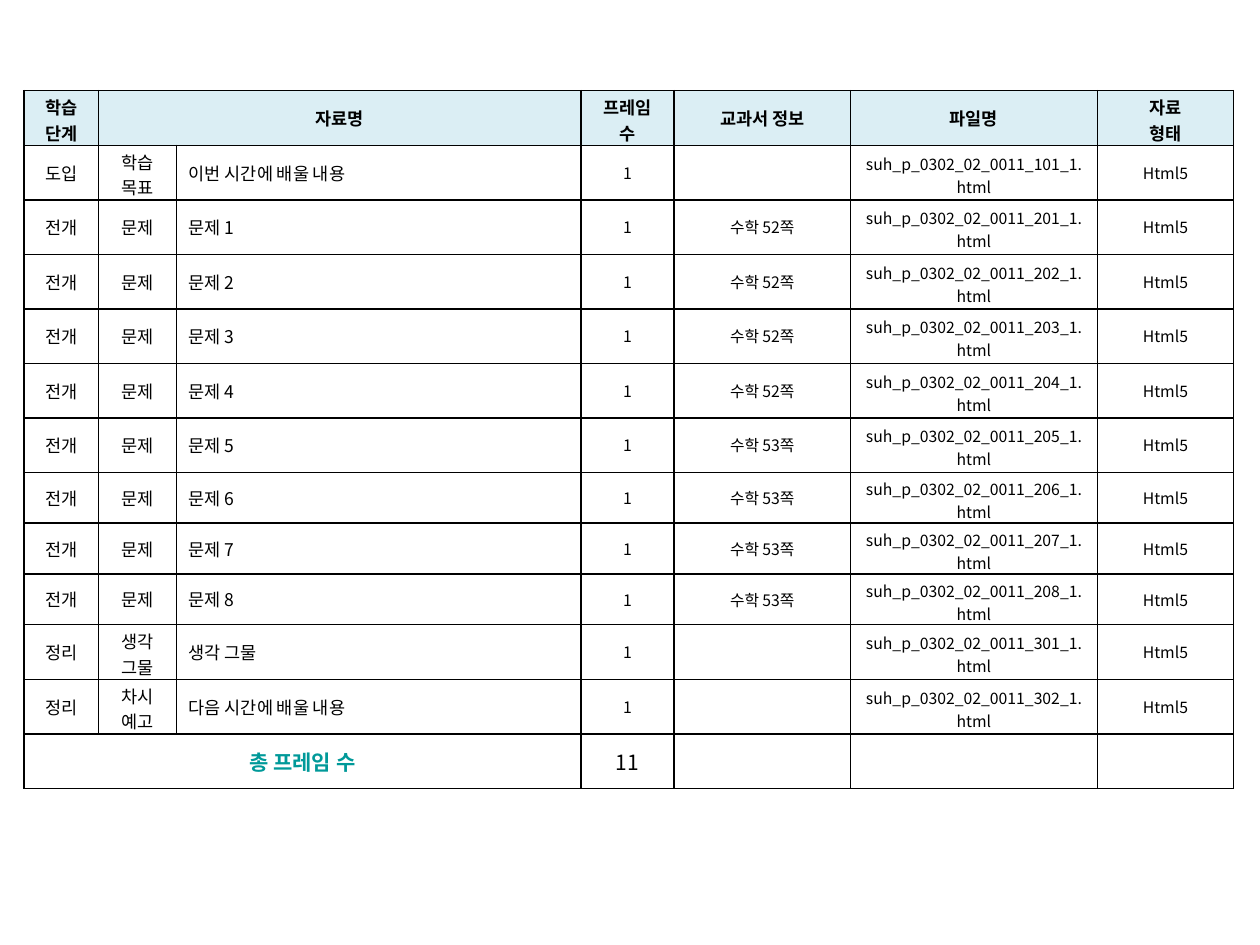
import dataclasses
import pptx
import pptx.dml.color
import pptx.enum.text
import pptx.oxml
import pptx.oxml.ns
import pptx.util
from lxml import etree

Inches = pptx.util.Inches
ALIGN = pptx.enum.text.PP_ALIGN
FONT = "Noto Sans CJK KR"
HEADER_FILL = "DBEEF4"
COLS = [0.59, 0.62, 3.21, 0.74, 1.4, 1.96, 1.08]
TABLE_HEIGHT = 5.53
LOW_ROWS = (7, 8, 9)
LOW_HEIGHT = 0.4
ROW_COUNT = 13
HEADERS = ["학습 단계", "자료명", "", "프레임 수", "교과서 정보", "파일명", "자료\n형태"]
SIZES = [10, 10, 10, 9, 9, 9, 9]
TWO_LINE_TOP = {9: 0.04, 10: 0.03}


@dataclasses.dataclass
class Material:
    stage: str
    kind: str
    name: str
    pages: str
    code: int

    def texts(self) -> list[str]:
        file = f"suh_p_0302_02_0011_{self.code}_1.html"
        return [self.stage, self.kind, self.name, "1", self.pages, file, "Html5"]


MATERIALS = [
    Material("도입", "학습\n목표", "이번 시간에 배울 내용", "", 101),
    *[Material("전개", "문제", f"문제 {n}", f"수학 {52 if n < 5 else 53}쪽", 200 + n)
      for n in range(1, 9)],
    Material("정리", "생각\n그물", "생각 그물", "", 301),
    Material("정리", "차시 예고", "다음 시간에 배울 내용", "", 302),
]
TWO_LINE_TEXTS = {"학습 단계", "프레임 수", "차시 예고"}


def rgb(color: str) -> pptx.dml.color.RGBColor:
    return pptx.dml.color.RGBColor.from_string(color)


def takes_two_lines(text: str) -> bool:
    return "\n" in text or text.endswith(".html") or text in TWO_LINE_TEXTS


def add_borders(cell, color: str = "000000", width: float = 1) -> None:
    tcPr = cell._tc.get_or_add_tcPr()
    for side in ("lnL", "lnR", "lnT", "lnB"):
        ln = etree.SubElement(tcPr, pptx.oxml.ns.qn(f"a:{side}"),
                              w=str(pptx.util.Pt(width)))
        fill = etree.SubElement(ln, pptx.oxml.ns.qn("a:solidFill"))
        etree.SubElement(fill, pptx.oxml.ns.qn("a:srgbClr"), val=color)


def write(tf, text: str, size: int = 10, bold: bool = False,
          color: str = "000000", align=ALIGN.CENTER) -> None:
    for i, line in enumerate(text.split("\n")):
        p = tf.paragraphs[0] if i == 0 else tf.add_paragraph()
        p.alignment = align
        if not line:
            etree.SubElement(p._p, pptx.oxml.ns.qn("a:endParaRPr"), sz=str(size * 100))
            continue
        r = p.add_run()
        r.text = line
        r.font.size = pptx.util.Pt(size)
        r.font.bold = bold
        r.font.name = FONT
        r.font.color.rgb = rgb(color)
        etree.SubElement(r.font._element, pptx.oxml.ns.qn("a:ea"), typeface=FONT)


def fill_cell(cell, text: str, fill: str = "", size: int = 10, **fmt) -> None:
    cell.vertical_anchor = pptx.enum.text.MSO_ANCHOR.MIDDLE
    cell.margin_left = cell.margin_right = Inches(0.1)
    cell.margin_top = cell.margin_bottom = Inches(0.05)
    if takes_two_lines(text):
        cell.margin_top, cell.margin_bottom = Inches(TWO_LINE_TOP[size]), 0
    add_borders(cell)
    if fill:
        cell.fill.solid()
        cell.fill.fore_color.rgb = rgb(fill)
    else:
        cell.fill.background()
    write(cell.text_frame, text, size=size, **fmt)


def main() -> None:
    prs = pptx.Presentation()
    prs.slide_width, prs.slide_height = Inches(10), Inches(7.5)
    s = prs.slides.add_slide(prs.slide_layouts[6])
    table = s.shapes.add_table(ROW_COUNT, len(COLS), Inches(0.19), Inches(0.72),
                               Inches(sum(COLS)), Inches(TABLE_HEIGHT)).table
    table.first_row = table.horz_banding = False
    for column, width in zip(table.columns, COLS):
        column.width = Inches(width)
    low_total = LOW_HEIGHT * len(LOW_ROWS)
    row_height = (TABLE_HEIGHT - low_total) / (ROW_COUNT - len(LOW_ROWS))
    for i, row in enumerate(table.rows):
        row.height = Inches(LOW_HEIGHT if i in LOW_ROWS else row_height)

    for c, text in enumerate(HEADERS):
        fill_cell(table.cell(0, c), text, fill=HEADER_FILL, bold=True)
    for r, material in enumerate(MATERIALS, 1):
        for c, (text, size) in enumerate(zip(material.texts(), SIZES)):
            align = ALIGN.LEFT if c == 2 else ALIGN.CENTER
            fill_cell(table.cell(r, c), text, size=size, align=align)
    last = ROW_COUNT - 1
    fill_cell(table.cell(last, 0), "총 프레임 수", size=12, bold=True, color="009999")
    for c in range(1, len(COLS)):
        fill_cell(table.cell(last, c), str(len(MATERIALS)) if c == 3 else "", size=12)

    table.cell(0, 1).merge(table.cell(0, 2))
    table.cell(last, 0).merge(table.cell(last, 2))
    prs.save("out.pptx")


if __name__ == "__main__":
    main()
